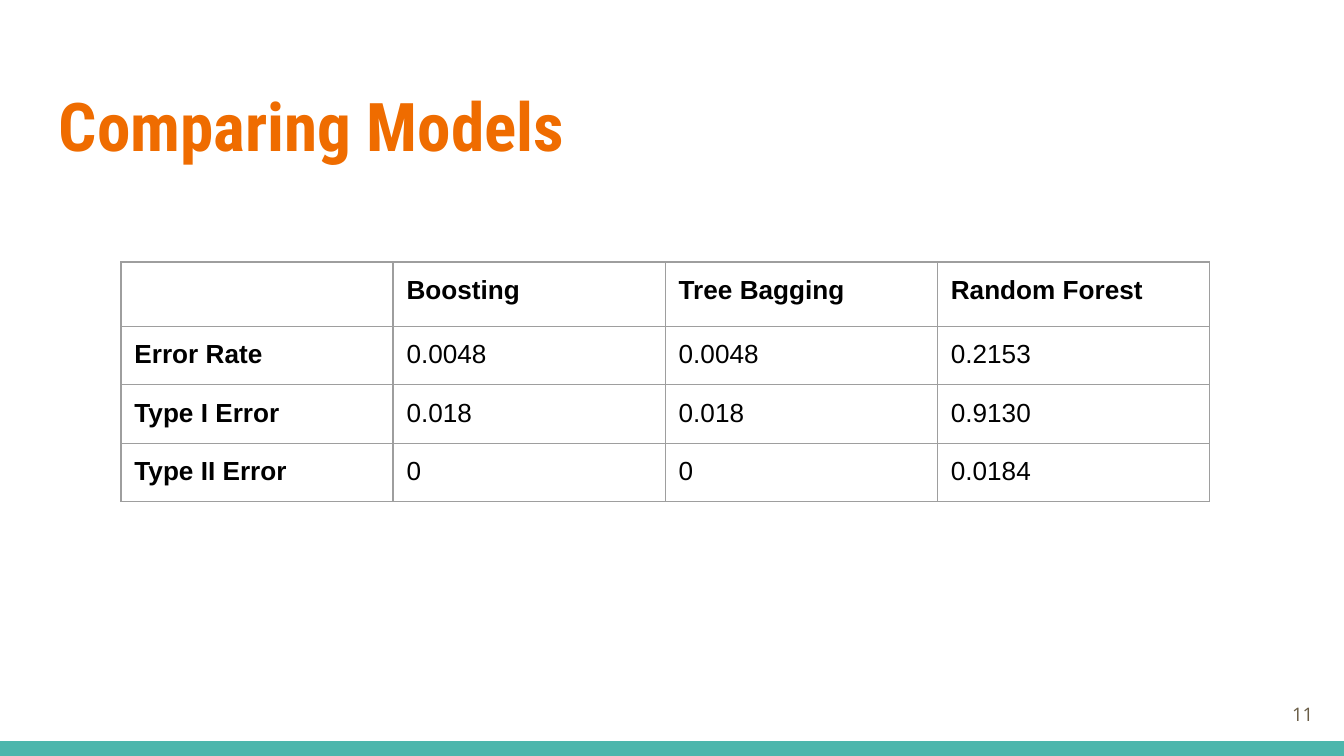
from lxml.etree import SubElement
from pptx import Presentation
from pptx.dml.color import RGBColor
from pptx.enum.shapes import MSO_SHAPE
from pptx.enum.text import MSO_ANCHOR, PP_ALIGN
from pptx.oxml.ns import qn
from pptx.util import Inches, Pt

COLORS = {
    "background": "FFFFFF",
    "title": "EF6C00",
    "bar": "4DB6AC",
    "border": "9E9E9E",
    "text": "000000",
    "number": "695D46",
}
SLIDE_WIDTH = Inches(10)
SLIDE_HEIGHT = SLIDE_WIDTH * 9 // 16
MARGIN = Inches(0.1)
ROWS = [
    ["", "Boosting", "Tree Bagging", "Random Forest"],
    ["Error Rate", "0.0048", "0.0048", "0.2153"],
    ["Type I Error", "0.018", "0.018", "0.9130"],
    ["Type II Error", "0", "0", "0.0184"],
]
TABLE_WIDTH = Inches(8.1)
COLUMN_WIDTH = TABLE_WIDTH // len(ROWS[0])
HEADER_HEIGHT, ROW_HEIGHT = Inches(0.48), Inches(0.43)


def write_text(frame, text, *, size, font, color, bold=False,
               align=PP_ALIGN.LEFT, anchor=MSO_ANCHOR.TOP):
    frame.word_wrap = True
    frame.vertical_anchor = anchor
    frame.margin_left = frame.margin_right = MARGIN
    frame.margin_top = frame.margin_bottom = MARGIN
    paragraph = frame.paragraphs[0]
    paragraph.alignment = align
    run = paragraph.add_run()
    run.text = text
    run.font.size = Pt(size)
    run.font.name = font
    run.font.bold = bold
    run.font.color.rgb = RGBColor.from_string(COLORS[color])


def add_borders(cell):
    properties = cell._tc.get_or_add_tcPr()
    for side in ("lnL", "lnR", "lnT", "lnB"):
        line = SubElement(properties, qn(f"a:{side}"), w=str(Pt(0.75)))
        fill = SubElement(line, qn("a:solidFill"))
        SubElement(fill, qn("a:srgbClr"), val=COLORS["border"])


presentation = Presentation()
presentation.slide_width = SLIDE_WIDTH
presentation.slide_height = SLIDE_HEIGHT
slide = presentation.slides.add_slide(presentation.slide_layouts[6])
slide.background.fill.solid()
slide.background.fill.fore_color.rgb = RGBColor.from_string(COLORS["background"])

# Bottom bar
bar_height = Inches(0.11)
bar = slide.shapes.add_shape(
    MSO_SHAPE.RECTANGLE, 0, SLIDE_HEIGHT - bar_height, SLIDE_WIDTH, bar_height)
bar.shadow.inherit = False
bar.fill.solid()
bar.fill.fore_color.rgb = RGBColor.from_string(COLORS["bar"])
bar.line.fill.background()

# Title
title = slide.shapes.add_textbox(Inches(0.34), Inches(0.53), Inches(9.32), Inches(0.77))
write_text(title.text_frame, "Comparing Models", size=36,
           font="Roboto Condensed", color="title", bold=True)

# Model comparison table
table = slide.shapes.add_table(
    len(ROWS), len(ROWS[0]), Inches(0.9), Inches(1.95), TABLE_WIDTH,
    HEADER_HEIGHT + ROW_HEIGHT * (len(ROWS) - 1)).table
table.first_row = False
table.horz_banding = False
for column in table.columns:
    column.width = COLUMN_WIDTH
for row_index, values in enumerate(ROWS):
    table.rows[row_index].height = ROW_HEIGHT if row_index else HEADER_HEIGHT
    for column_index, value in enumerate(values):
        cell = table.cell(row_index, column_index)
        cell.margin_left = cell.margin_right = MARGIN
        cell.margin_top = cell.margin_bottom = MARGIN
        add_borders(cell)
        cell.fill.background()
        if value:
            write_text(cell.text_frame, value, size=14, font="Arial", color="text",
                       bold=row_index == 0 or column_index == 0)
        else:
            # The default 18 pt of an empty cell would stretch the header row
            SubElement(cell.text_frame.paragraphs[0]._p, qn("a:endParaRPr"), sz="1400")

# Slide number
number = slide.shapes.add_textbox(Inches(9.27), Inches(5.1), Inches(0.6), Inches(0.43))
write_text(number.text_frame, "11", size=10, font="Open Sans", color="number",
           align=PP_ALIGN.RIGHT, anchor=MSO_ANCHOR.MIDDLE)

presentation.save("out.pptx")
